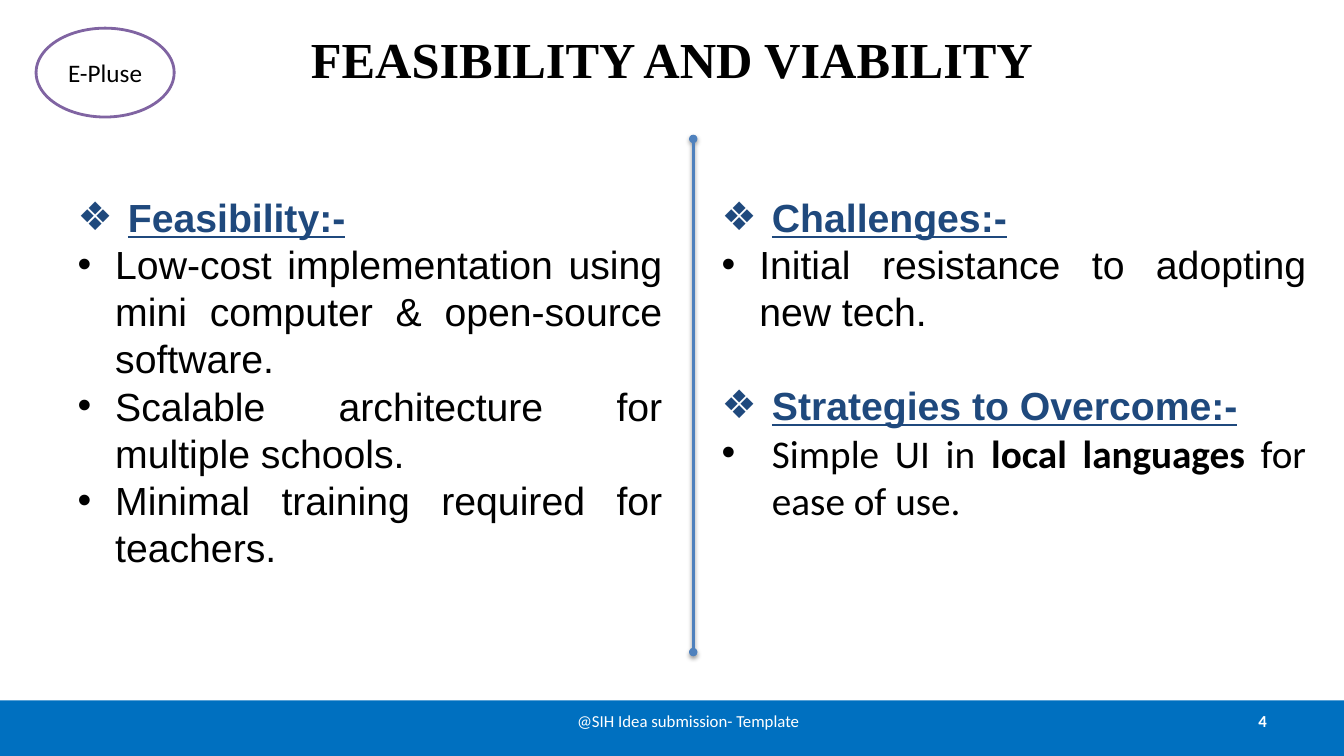
from lxml import etree
from pptx import Presentation
from pptx import util as u
from pptx.dml.color import RGBColor
from pptx.enum import shapes, text
from pptx.oxml import ns

ALIGN = text.PP_ALIGN


def color(hex_code):
    return RGBColor.from_string(hex_code)


def add_xml(parent, tag, **attributes):
    return etree.SubElement(parent, ns.qn(tag), attributes)


class FeasibilitySlide:
    """Holds the slide's style and draws each kind of element on it."""

    serif, sans, plain = "Times New Roman", "Arial", "Calibri"
    black, white, navy = "000000", "FFFFFF", "1F497D"
    footer_blue, divider_blue, purple = "0070C0", "4F81BD", "8064A2"

    def __init__(self, deck):
        self.slide = deck.slides.add_slide(deck.slide_layouts[3])

    def place(self, shape, left, top, width, height):
        shape.left, shape.top = u.Cm(left), u.Cm(top)
        shape.width, shape.height = u.Cm(width), u.Cm(height)

    def run(self, paragraph, words, font, size, ink, bold=False, underline=False):
        run = paragraph.add_run()
        run.text = words
        run.font.name, run.font.size = font, u.Pt(size)
        run.font.bold, run.font.underline = bold, underline
        run.font.color.rgb = color(ink)

    def shadow(self, shape, ink, opacity, blur, distance):
        effects = add_xml(shape._element.spPr, "a:effectLst")
        outer = add_xml(effects, "a:outerShdw", blurRad=str(u.Pt(blur)),
                        dist=str(u.Pt(distance)), dir="5400000", rotWithShape="0")
        tone = add_xml(outer, "a:srgbClr", val=ink)
        add_xml(tone, "a:alpha", val=str(opacity * 1000))

    def title(self, words):
        heading = self.slide.shapes.title
        self.place(heading, 1.7, -0.13, 30.48, 3.18)
        frame = heading.text_frame
        frame.vertical_anchor = text.MSO_ANCHOR.MIDDLE
        frame.paragraphs[0].alignment = ALIGN.CENTER
        self.run(frame.paragraphs[0], words, self.serif, 36, self.black, bold=True)

    def bullet(self, paragraph, mark, indent, gap):
        paragraph.alignment = ALIGN.JUSTIFY
        paragraph.space_before = u.Pt(gap)
        properties = paragraph._p.get_or_add_pPr()
        properties.set("marL", str(u.Cm(indent)))
        properties.set("indent", str(-u.Cm(indent)))
        add_xml(properties, "a:buFont", typeface=self.sans)
        add_xml(properties, "a:buChar", char=mark)

    def column(self, index, left, height, sections):
        body = self.slide.placeholders[index]
        self.place(body, left, 4.75, 15.24, height)
        frame = body.text_frame
        frame.auto_size = text.MSO_AUTO_SIZE.SHAPE_TO_FIT_TEXT
        frame.vertical_anchor = text.MSO_ANCHOR.TOP
        paragraph = frame.paragraphs[0]
        for number, (heading, font, indent, points) in enumerate(sections):
            if number:
                paragraph = frame.add_paragraph()
            self.bullet(paragraph, "❖", 1.27, 33.6 if number else 0)
            self.run(paragraph, heading, self.sans, 28, self.navy, True, True)
            for point in points:
                paragraph = frame.add_paragraph()
                self.bullet(paragraph, "•", indent, 0)
                for words, bold in point:
                    self.run(paragraph, words, font, 28, self.black, bold)

    def footer_bar(self):
        bar = self.slide.shapes.add_shape(
            shapes.MSO_SHAPE.RECTANGLE, 0, u.Cm(17.65), u.Cm(33.87), u.Cm(1.4))
        bar.fill.solid()
        bar.fill.fore_color.rgb = color(self.footer_blue)
        bar.line.fill.background()
        self.shadow(bar, "808080", 35, 0, 1.8)

    def footer_text(self, words, left, width, align, bold=False):
        label = self.slide.shapes.add_textbox(
            u.Cm(left), u.Cm(17.65), u.Cm(width), u.Cm(1.02))
        frame = label.text_frame
        frame.word_wrap = True
        frame.vertical_anchor = text.MSO_ANCHOR.MIDDLE
        frame.paragraphs[0].alignment = align
        self.run(frame.paragraphs[0], words, self.plain, 12, self.white, bold)

    def team_badge(self, words):
        badge = self.slide.shapes.add_shape(
            shapes.MSO_SHAPE.OVAL, u.Cm(0.91), u.Cm(0.71), u.Cm(3.48), u.Cm(2.24))
        badge.shadow.inherit = False
        badge.fill.solid()
        badge.fill.fore_color.rgb = color(self.white)
        badge.line.color.rgb = color(self.purple)
        badge.line.width = u.Pt(2)
        frame = badge.text_frame
        frame.vertical_anchor = text.MSO_ANCHOR.MIDDLE
        frame.paragraphs[0].alignment = ALIGN.CENTER
        self.run(frame.paragraphs[0], words, self.plain, 18, self.black)

    def divider(self, x, top, bottom):
        divider = self.slide.shapes.add_connector(
            shapes.MSO_CONNECTOR.STRAIGHT, u.Cm(x), u.Cm(top), u.Cm(x), u.Cm(bottom))
        divider.line.color.rgb = color(self.divider_blue)
        divider.line.width = u.Pt(2)
        outline = divider.line._get_or_add_ln()
        for end in ("a:headEnd", "a:tailEnd"):
            add_xml(outline, end, type="oval")
        self.shadow(divider, self.black, 38, 3.1, 1.6)


def main():
    deck = Presentation()
    deck.slide_width, deck.slide_height = u.Cm(33.87), u.Cm(19.05)
    page = FeasibilitySlide(deck)
    page.footer_bar()
    page.title("FEASIBILITY AND VIABILITY")
    page.column(1, 1.7, 9.83, [
        ("Feasibility:-", page.sans, 0.95, [
            [("Low-cost implementation using mini computer & open-source software.", False)],
            [("Scalable architecture for multiple schools.", False)],
            [("Minimal training required for teachers.", False)],
        ]),
    ])
    page.footer_text("4", 24.28, 7.9, ALIGN.RIGHT, bold=True)
    page.footer_text("@SIH Idea submission- Template", 12.9, 8.89, ALIGN.CENTER)
    page.team_badge("E-Pluse")
    page.column(2, 17.93, 8.64, [
        ("Challenges:-", page.sans, 0.95, [
            [("Initial resistance to adopting new tech.", False)],
        ]),
        ("Strategies to Overcome:-", page.plain, 1.27, [
            [("Simple UI in ", False), ("local languages", True), (" for ease of use.", False)],
        ]),
    ])
    page.divider(17.47, 3.5, 16.43)
    deck.save("out.pptx")


if __name__ == "__main__":
    main()
